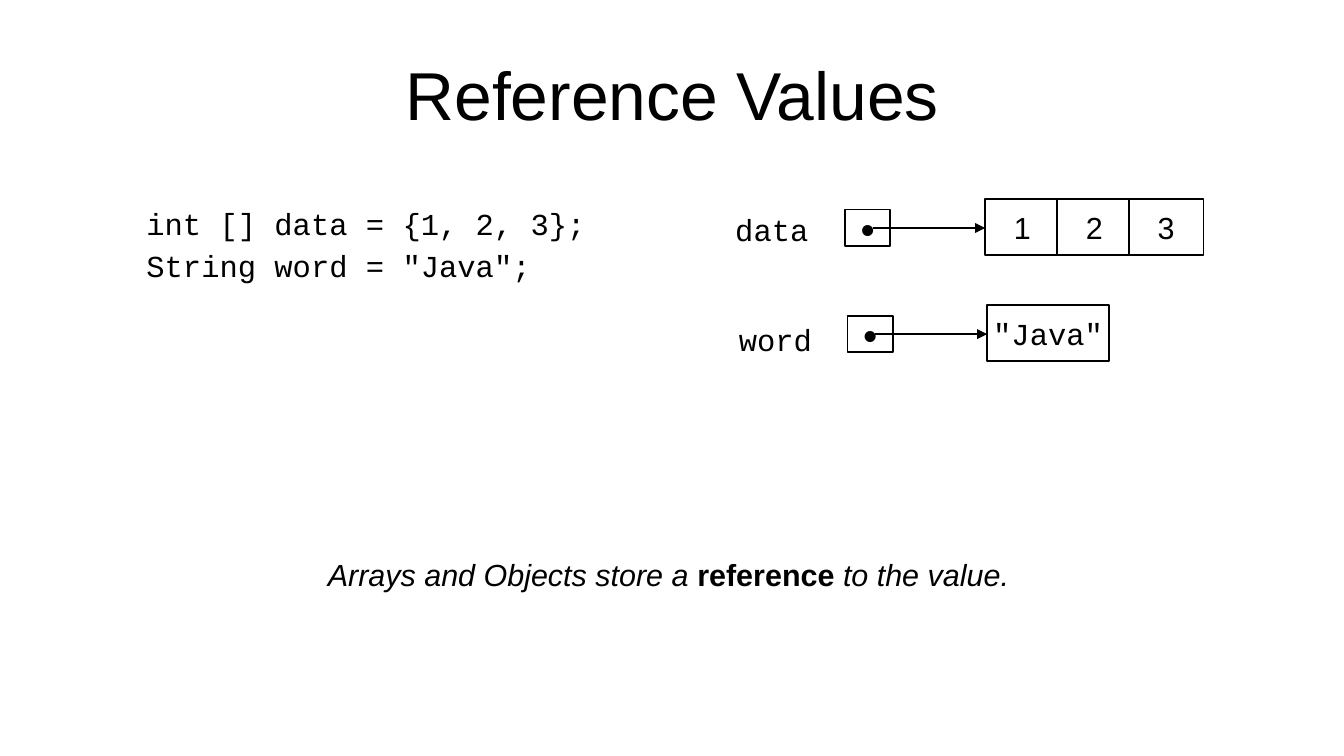
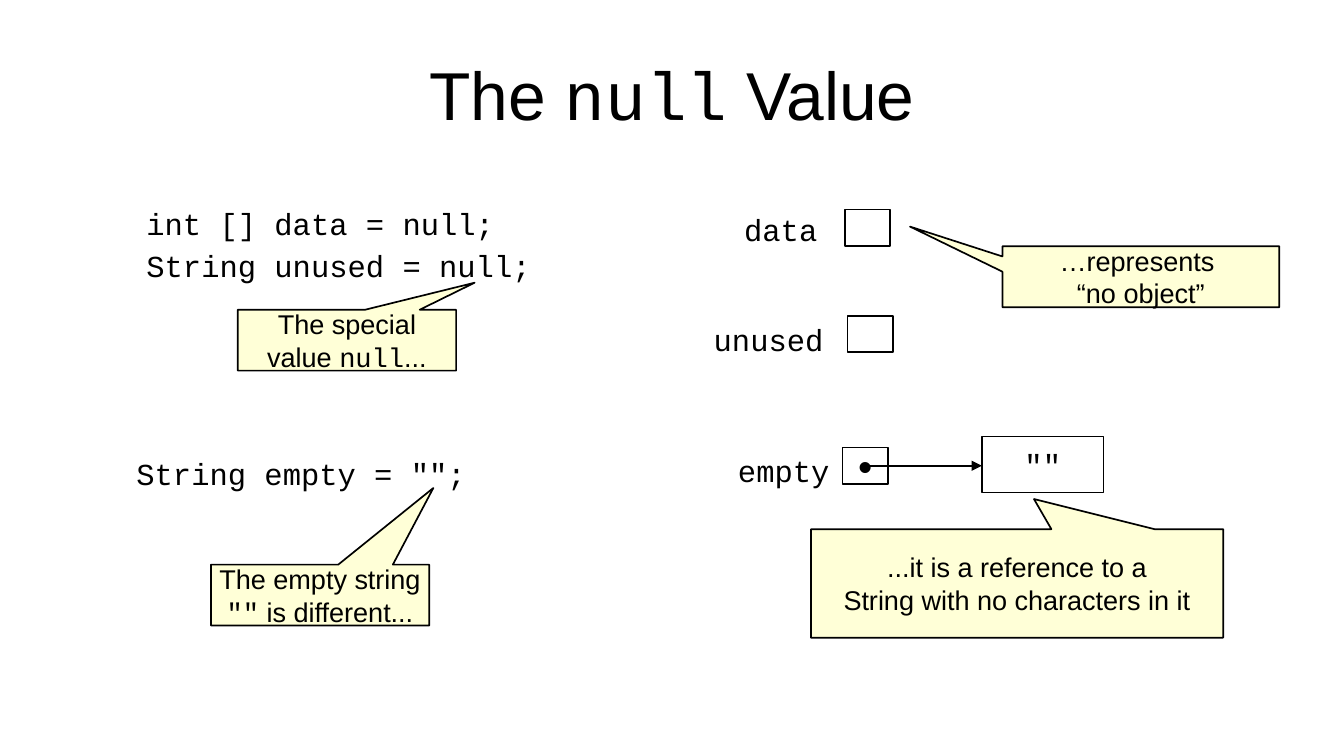
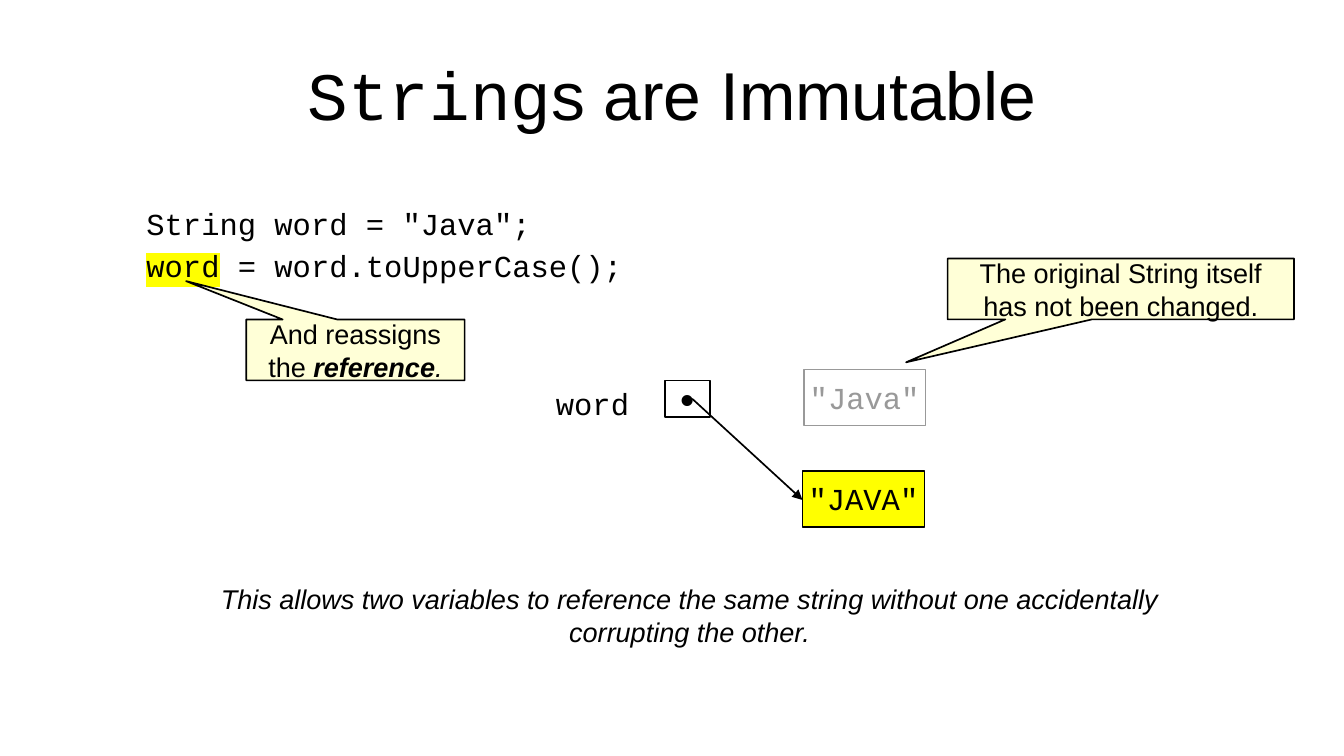
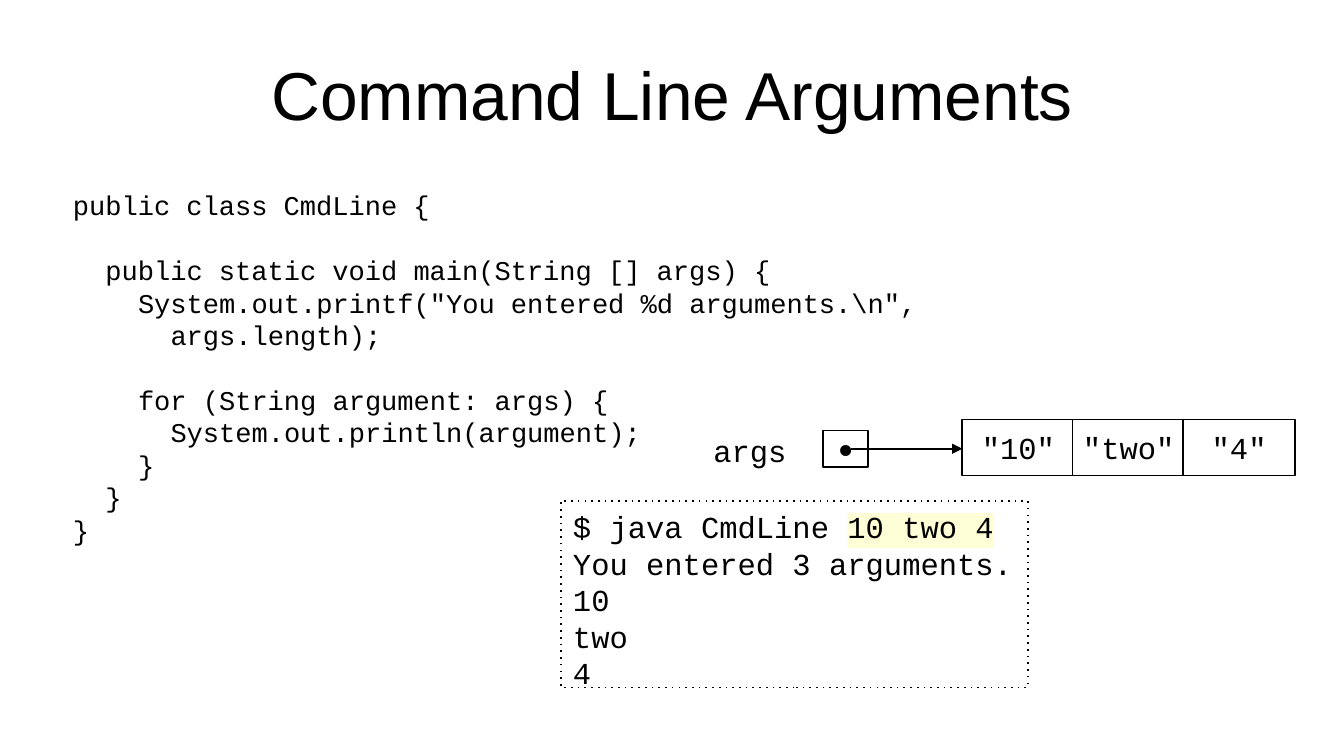
import dataclasses

import pptx
import pptx.dml.color
import pptx.enum.dml
import pptx.enum.shapes
import pptx.enum.text
import pptx.oxml.ns
import pptx.util
from lxml import etree

RGBColor = pptx.dml.color.RGBColor
Pt = pptx.util.Pt
Inches = pptx.util.Inches
qn = pptx.oxml.ns.qn
Align = pptx.enum.text.PP_ALIGN
Anchor = pptx.enum.text.MSO_ANCHOR
Shape = pptx.enum.shapes.MSO_SHAPE

# Shared look
BLACK = RGBColor(0x00, 0x00, 0x00)
WHITE = RGBColor(0xFF, 0xFF, 0xFF)
GREY = RGBColor(0x99, 0x99, 0x99)
YELLOW = RGBColor(0xFF, 0xFF, 0x00)
CREAM = RGBColor(0xFF, 0xFF, 0xD7)
SANS, MONO = "Arial", "Courier New"
TITLE_SIZE, BODY_SIZE, NOTE_SIZE, DOT_SIZE = 40, 18, 16, 24
LINE_WIDTH = Pt(0.99)

# Grid: 100 columns by 100 rows over the slide
SLIDE_W, SLIDE_H = Inches(11.02), Inches(6.2)
COL, ROW = SLIDE_W / 100, SLIDE_H / 100
REF_W, REF_H = 3.36, 4.84          # box of a variable
VALUE_W, VALUE_H = 9.07, 7.42      # box of a value
VALUE_RISE = 1.45                  # value box starts this far above its variable
LABEL_H, CALLOUT_H = 6.13, 8.06
ARROW_X, ARROW_Y = 2.04, 2.42      # arrow start inside the variable box
CODE_INDENT = Pt(19.2)             # two characters of 16 pt code
CODE_LINE = Pt(19)


@dataclasses.dataclass
class Span:
    """A stretch of text that differs from the rest of its paragraph."""
    text: str
    font: str = ""
    bold: bool = False
    italic: bool = False
    highlight: RGBColor = None


def code(text, highlight=None):
    return Span(text, font=MONO, highlight=highlight)


def place(x, y, w, h):
    return [round(n) for n in (x * COL, y * ROW, w * COL, h * ROW)]


# Text
def format_run(run, span, font, size, color):
    run.font.name = span.font or font
    run.font.size = Pt(size)
    run.font.bold = span.bold
    run.font.italic = span.italic
    run.font.color.rgb = color
    if span.highlight is not None:
        highlight = etree.Element(qn("a:highlight"))
        etree.SubElement(highlight, qn("a:srgbClr")).set("val", str(span.highlight))
        run.font._element.find(qn("a:solidFill")).addnext(highlight)


def write(frame, lines, font=SANS, size=BODY_SIZE, color=BLACK, align=Align.LEFT,
          anchor=Anchor.TOP, wrap=True, inset=(0.1, 0.05), spacing=None):
    """Each line is a string or a list of strings and Spans."""
    frame.word_wrap = wrap
    frame.vertical_anchor = anchor
    frame.margin_left = frame.margin_right = Inches(inset[0])
    frame.margin_top = frame.margin_bottom = Inches(inset[1])
    for index, line in enumerate(lines):
        paragraph = frame.add_paragraph() if index else frame.paragraphs[0]
        paragraph.alignment = align
        if spacing:
            paragraph.line_spacing = spacing
        for part in [line] if isinstance(line, (str, Span)) else line:
            span = part if isinstance(part, Span) else Span(part)
            run = paragraph.add_run()
            run.text = span.text
            format_run(run, span, font, size, color)


def add_text(slide, area, lines, **style):
    frame = slide.shapes.add_textbox(*place(*area)).text_frame
    write(frame, lines, **style)
    return frame


def add_code(slide, area, lines):
    add_text(slide, area, lines, font=MONO, spacing=1.15)


def add_listing(slide, area, lines):
    """Lines are (indent level, gap lines above, text)."""
    frame = add_text(slide, area, [text for _, _, text in lines],
                     font=MONO, size=NOTE_SIZE)
    for paragraph, (level, gap, _) in zip(frame.paragraphs, lines):
        properties = paragraph._p.get_or_add_pPr()
        properties.set("marL", str(level * CODE_INDENT))
        properties.set("indent", "0")
        paragraph.space_before = gap * CODE_LINE


# Boxes, callouts and arrows
def add_box(slide, area, lines=(), preset=Shape.RECTANGLE, fill=WHITE, line=BLACK,
            **style):
    box = slide.shapes.add_shape(preset, *place(*area))
    box.shadow.inherit = False
    if fill is None:
        box.fill.background()
    else:
        box.fill.solid()
        box.fill.fore_color.rgb = fill
    box.line.color.rgb = line
    box.line.width = LINE_WIDTH
    centred = dict(align=Align.CENTER, anchor=Anchor.MIDDLE, wrap=False,
                   inset=(0.11, 0.06))
    write(box.text_frame, lines, **{**centred, **style})
    return box


def add_terminal(slide, area, lines):
    terminal = add_box(slide, area, lines, fill=None, font=MONO, align=Align.LEFT,
                       anchor=Anchor.TOP, wrap=True, inset=(0.1, 0.06))
    terminal.line.dash_style = pptx.enum.dml.MSO_LINE.ROUND_DOT
    # Wider-spaced dots than the enumeration offers
    terminal._element.spPr.find(".//" + qn("a:prstDash")).set("val", "dot")


def add_callout(slide, area, tip, lines):
    callout = add_box(slide, area, lines, preset=Shape.RECTANGULAR_CALLOUT,
                      fill=CREAM, size=NOTE_SIZE)
    callout.adjustments[0], callout.adjustments[1] = tip


def add_arrow(slide, x1, y1, x2, y2):
    start, end = place(x1, y1, 0, 0)[:2], place(x2, y2, 0, 0)[:2]
    arrow = slide.shapes.add_connector(
        pptx.enum.shapes.MSO_CONNECTOR.STRAIGHT, *start, *end)
    arrow.line.color.rgb = BLACK
    arrow.line.width = LINE_WIDTH
    properties = arrow._element.spPr
    etree.SubElement(properties.find(qn("a:ln")), qn("a:tailEnd")).set("type", "triangle")
    etree.SubElement(properties, qn("a:effectLst"))


def add_variable(slide, label, label_area, x, y, align=Align.LEFT, is_null=False):
    """A label and its box, which holds a dot unless it is null."""
    add_text(slide, (*label_area, LABEL_H), [label], font=MONO, align=align)
    add_box(slide, (x, y, REF_W, REF_H), [] if is_null else ["•"], size=DOT_SIZE)


def add_values(slide, values, x, y, width=VALUE_W, step=0, font=MONO, **style):
    for index, value in enumerate(values):
        add_box(slide, (x + index * step, y, width, VALUE_H), [value],
                font=font, **style)


def add_reference(slide, label, label_area, x, y, values, values_x,
                  align=Align.LEFT, **style):
    """A variable with an arrow to the values beside it."""
    add_variable(slide, label, label_area, x, y, align)
    add_values(slide, values, values_x, y - VALUE_RISE, **style)
    add_arrow(slide, x + ARROW_X, y + ARROW_Y, values_x, y + ARROW_Y)


def new_slide(deck, title):
    slide = deck.slides.add_slide(deck.slide_layouts[6])
    add_text(slide, (5, 4, 90, 16.8), [title], size=TITLE_SIZE, align=Align.CENTER,
             anchor=Anchor.MIDDLE, inset=(0, 0))
    return slide


# Slides
def reference_values(deck):
    slide = new_slide(deck, "Reference Values")
    add_code(slide, (10, 25.65, 34.5, 15.3),
             ["int [] data = {1, 2, 3};", 'String word = "Java";'])
    add_reference(slide, "data", (53.81, 27.1, 9.07), 62.89, 27.74,
                  ["1", "2", "3"], 73.3, width=5.54, step=5.35, font=SANS)
    add_reference(slide, "word", (54.08, 41.61, 8.98), 63.07, 41.77,
                  ['"Java"'], 73.45)
    add_text(slide, (23.5, 72.74, 53, 7.1),
             [[Span("Arrays and Objects store a ", italic=True),
               Span("reference", bold=True),
               Span(" to the value.", italic=True)]])


def null_value(deck):
    slide = new_slide(deck, ["The ", code("null"), " Value"])
    # Null variables
    add_code(slide, (10, 25.65, 33.1, 15.3),
             ["int [] data = null;", "String unused = null;"])
    add_variable(slide, "data", (52.63, 27.1, 9.07), 62.89, 27.74,
                 Align.RIGHT, is_null=True)
    add_variable(slide, "unused", (51.91, 41.61, 10.25), 63.07, 41.77,
                 Align.RIGHT, is_null=True)
    add_callout(slide, (17.7, 40.97, 16.24, CALLOUT_H), (0.585, -0.944),
                ["The special", ["value ", code("null"), "..."]])
    add_callout(slide, (74.59, 32.58, 20.6, CALLOUT_H), (-0.834, -0.824),
                ["…represents ", "“no object”"])
    # Empty string
    add_code(slide, (9.26, 58.71, 26.86, 7.74), ['String empty = "";'])
    add_reference(slide, "empty", (53.63, 59.03, 8.98), 62.7, 59.19,
                  ['""'], 73.05, align=Align.RIGHT)
    add_callout(slide, (60.34, 70, 30.67, 14.35), (0.041, -0.778),
                ["...it is a reference to a", "String with no characters in it"])
    add_callout(slide, (15.7, 74.68, 16.24, CALLOUT_H), (0.519, -1.759),
                ["The empty string", [code('""'), " is different..."]])


def immutable_strings(deck):
    slide = new_slide(deck, [code("String"), "s are Immutable"])
    add_code(slide, (10, 25.65, 37.2, 15.3),
             ['String word = "Java";',
              [code("word", YELLOW), " = ", code("word.toUpperCase();", WHITE)]])
    add_callout(slide, (18.33, 42.26, 16.24, CALLOUT_H), (-0.776, -1.13),
                ["And reassigns",
                 ["the ", Span("reference", bold=True, italic=True),
                  Span(".", italic=True)]])
    # Old and new value
    ref_x, ref_y, new_x, new_y = 49.46, 50.32, 59.71, 62.26
    add_variable(slide, "word", (40.47, 50.16, 8.98), ref_x, ref_y)
    add_values(slide, ['"Java"'], 59.8, ref_y - VALUE_RISE, line=GREY, color=GREY)
    add_values(slide, ['"JAVA"'], new_x, new_y, fill=YELLOW)
    add_arrow(slide, ref_x + ARROW_X, ref_y + ARROW_Y,
              new_x, new_y + VALUE_RISE + ARROW_Y)
    add_callout(slide, (70.51, 34.19, 25.77, CALLOUT_H), (-0.62, 1.205),
                ["The original String itself", "has not been changed."])
    add_text(slide, (13.7, 76.29, 75.23, 9.52),
             [Span("This allows two variables to reference the same string "
                   "without one accidentally corrupting the other.", italic=True)],
             size=NOTE_SIZE, align=Align.CENTER)


def command_line_arguments(deck):
    slide = new_slide(deck, "Command Line Arguments")
    add_listing(slide, (4.54, 24.19, 64.7, 46.29), [
        (0, 0, "public class CmdLine {"),
        (1, 1, "public static void main(String [] args) {"),
        (2, 0, 'System.out.printf("You entered %d arguments.\\n",'),
        (3, 0, "args.length);"),
        (2, 1, "for (String argument: args) {"),
        (3, 0, "System.out.println(argument);"),
        (2, 0, "}"),
        (1, 0, "}"),
        (0, 0, "}"),
    ])
    add_terminal(slide, (41.74, 66.25, 34.75, 24.68),
                 [["$ java CmdLine ", code("10 two 4", CREAM)],
                  "You entered 3 arguments.", "10", "two", "4"])
    add_reference(slide, "args", (52.18, 56.29, 9.07), 61.25, 56.94,
                  ['"10"', '"two"', '"4"'], 71.6, width=8.35, step=8.21)


def main():
    deck = pptx.Presentation()
    deck.slide_width, deck.slide_height = SLIDE_W, SLIDE_H
    reference_values(deck)
    null_value(deck)
    immutable_strings(deck)
    command_line_arguments(deck)
    deck.save("out.pptx")


main()
